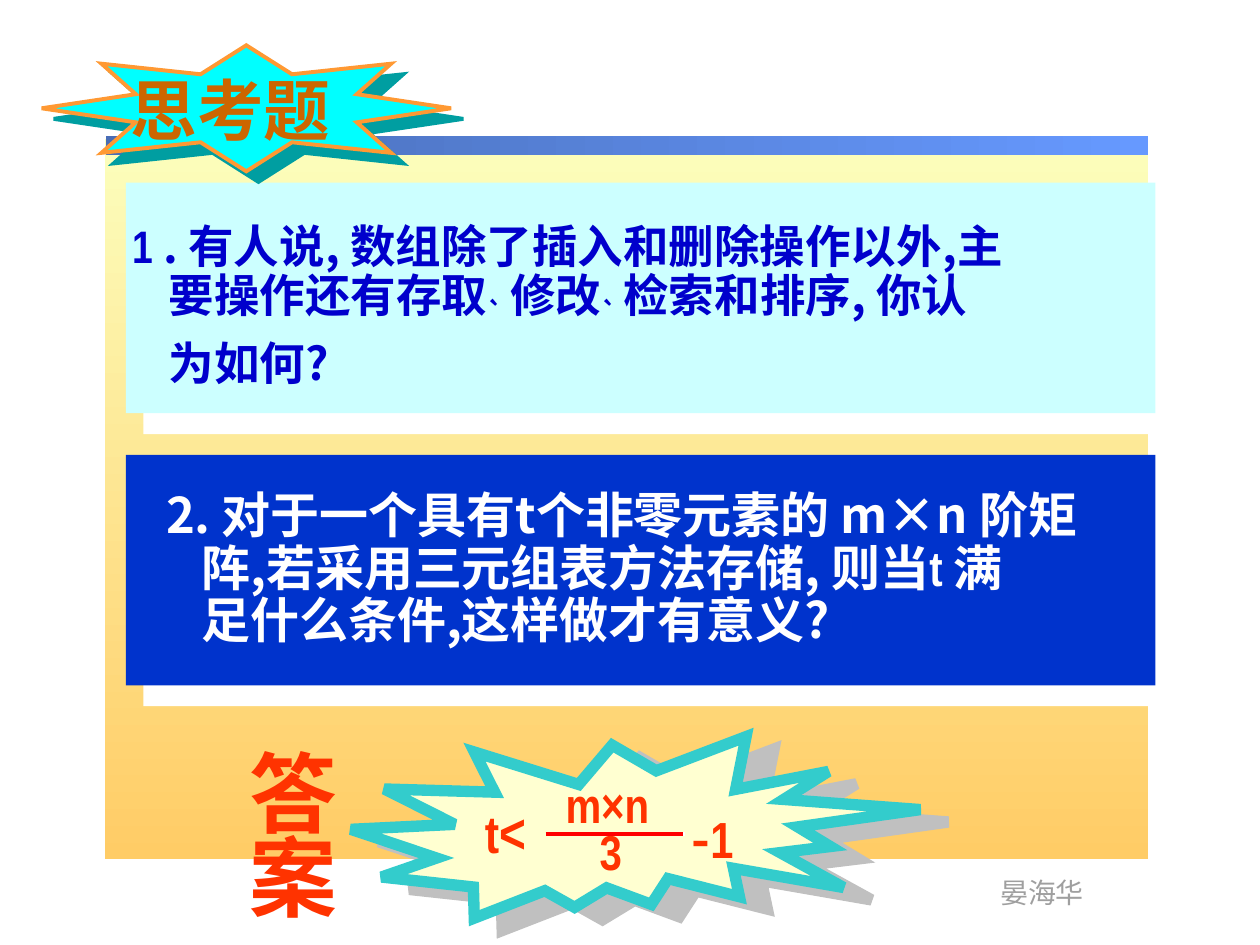
from lxml import etree
from pptx import Presentation
from pptx.dml.color import RGBColor
from pptx.enum.shapes import MSO_CONNECTOR, MSO_SHAPE
from pptx.oxml.ns import qn
from pptx.util import Inches, Pt

RECTANGLE = MSO_SHAPE.RECTANGLE
STAR = MSO_SHAPE.STAR_8_POINT
BURST = MSO_SHAPE.EXPLOSION2
STRAIGHT = MSO_CONNECTOR.STRAIGHT

CJK = "Noto Sans CJK SC"
NARROW = "Arial Narrow"
COLORS = {
    "white": "FFFFFF", "black": "000000", "gray": "9F9F9F", "silver": "C0C0C0",
    "lemon": "FCFEBC", "amber": "FFCC66", "steel": "496DB6", "sky": "6699FF",
    "ice": "CCFFFF", "royal": "0033CC", "navy": "0000CC", "cyan": "00FFFF",
    "orange": "FF9933", "teal": "009EA1", "brown": "CC6600", "cream": "FFFFD1",
    "turquoise": "33CCCC", "vermilion": "FF3300", "red": "FF0000",
}


def rgb(name):
    return RGBColor.from_string(COLORS[name])


def set_shadow(properties, color, distance, angle):
    """Fill the effect list of a shape with one hard outer shadow."""
    effects = properties.find(qn("a:effectLst"))
    if effects is None:
        effects = etree.SubElement(properties, qn("a:effectLst"))
    shadow = etree.SubElement(effects, qn("a:outerShdw"), dist=str(Pt(distance)),
                              dir=str(angle * 60000), algn="ctr", rotWithShape="0")
    etree.SubElement(shadow, qn("a:srgbClr"), val=COLORS[color])


def add_panel(slide, kind, box, fill, line=None, shadow=None):
    shape = slide.shapes.add_shape(kind, *map(Inches, box))
    shape.shadow.inherit = False
    if isinstance(fill, tuple):
        *stops, angle = fill
        shape.fill.gradient()
        shape.fill.gradient_angle = angle
        for stop, color in zip(shape.fill.gradient_stops, stops):
            stop.color.rgb = rgb(color)
    else:
        shape.fill.solid()
        shape.fill.fore_color.rgb = rgb(fill)
    if line:
        color, width = line
        shape.line.color.rgb = rgb(color)
        shape.line.width = Pt(width)
        etree.SubElement(shape.line._get_or_add_ln(), qn("a:miter"), lim="800000")
    else:
        shape.line.fill.background()
    if shadow:
        set_shadow(shape._element.spPr, *shadow)
    return shape


def add_run(paragraph, text, size, color, font=CJK, bold=True, baseline=0, shadow=False):
    run = paragraph.add_run()
    run.text = text
    for name, value in {"size": Pt(size), "bold": bold, "name": font}.items():
        setattr(run.font, name, value)
    run.font.color.rgb = rgb(color)
    properties = run._r.get_or_add_rPr()
    properties.find(qn("a:latin")).addnext(
        etree.Element(qn("a:ea"), typeface=CJK))
    if baseline:
        properties.set("baseline", str(baseline * 1000))
    if shadow:
        effects = etree.Element(qn("a:effectLst"))
        properties.find(qn("a:solidFill")).addnext(effects)
        set_shadow(properties, "black", 2, 45)


def add_text(slide, box, lines, wrap=True, **style):
    """Each line is (left margin, line spacing, [(text, style changes), ...])."""
    frame = slide.shapes.add_textbox(*map(Inches, box)).text_frame
    frame.word_wrap = wrap
    for number, (margin, spacing, runs) in enumerate(lines):
        paragraph = frame.add_paragraph() if number else frame.paragraphs[0]
        paragraph.line_spacing = spacing
        paragraph._p.get_or_add_pPr().set("marL", str(Inches(margin)))
        for text, changes in runs:
            add_run(paragraph, text, **{**style, **changes})


def add_background(slide, left, top, width, height):
    add_panel(slide, RECTANGLE, (left, top, width, height), ("lemon", "amber", 270))
    add_panel(slide, RECTANGLE, (left + 0.01, top - 0.02, width - 0.01, 0.15),
              ("steel", "sky", 0))
    add_text(slide, (left + 7.01, top + 5.8, 0.87, 0.37), [(0, 1.0, [("晏海华", {})])],
             wrap=False, size=16, color="gray", font=NARROW, bold=False)


def add_question(slide, box, fill, text_box, lines, **style):
    left, top, width, height = box
    add_panel(slide, RECTANGLE, box, fill, shadow=("white", 15.6, 50))
    dx, dy, text_width, text_height = text_box
    add_text(slide, (left + dx, top + dy, text_width, text_height), lines, **style)


def add_title(slide, left, top, width, height):
    star = add_panel(slide, STAR, (left, top, width, height), "cyan",
                     ("orange", 2.25), ("teal", 9.2, 41))
    star.adjustments[0] = 0.292
    add_text(slide, (left + 0.61, top + 0.09, 2.02, 0.74),
             [(0, Pt(49), [("思考题", {})])], size=38, color="brown")


def add_answer(slide, left, top, width, height):
    burst = add_panel(slide, BURST, (left, top, width, height), "cream",
                      ("turquoise", 6.5), ("silver", 17.5, 24))
    burst.rotation = 3.8
    style = {"color": "vermilion", "font": NARROW}

    # Formula: t < (m×n) / 3 - 1
    add_text(slide, (left + 0.96, top + 0.49, 1, 0.64),
             [(0, 1.0, [("t", {}), ("<", {"size": 32})])], size=30, **style)
    add_text(slide, (left + 1.6, top + 0.4, 1.35, 0.85),
             [(0, 0.8, [("m×n", {})]), (0.27, 0.8, [("3", {})])], size=28, **style)
    bar_y = Inches(top + 0.83)
    bar = slide.shapes.add_connector(STRAIGHT, Inches(left + 1.54), bar_y,
                                     Inches(left + 2.63), bar_y)
    bar.line.color.rgb = rgb("red")
    bar.line.width = Pt(2)
    set_shadow(bar._element.spPr, "white", 1, 0)
    add_text(slide, (left + 2.6, top + 0.53, 1.02, 0.59),
             [(0, Pt(38), [("-", {"font": CJK}), ("1", {})])], size=29, **style)

    # Heading beside the burst
    add_text(slide, (left - 0.91, top + 0.11, 0.83, 1.45),
             [(0, Pt(54), [("答", {})]), (0, Pt(48), [("案", {})])],
             size=50, shadow=True, **style)


def main():
    presentation = Presentation()
    presentation.slide_width = Inches(10)
    presentation.slide_height = Inches(7.5)
    slide = presentation.slides.add_slide(presentation.slide_layouts[6])

    add_background(slide, 0.83, 1.1, 8.28, 5.72)

    tick = ("` ", {"baseline": -25})
    add_question(slide, (1, 1.45, 8.17, 1.83), "ice", (-0.33, 0.11, 8.42, 1.51), [
        (0.28, Pt(40), [("1 ", {"font": NARROW}),
                        (". 有人说, 数组除了插入和删除操作以外,主", {})]),
        (0.57, Pt(32), [("要操作还有存取", {}), tick, ("修改", {}), tick,
                        ("检索和排序, 你认", {})]),
        (0.57, Pt(35), [("为如何?", {})]),
    ], size=26, color="navy")
    add_question(slide, (1, 3.61, 8.17, 1.83), "royal", (0.22, 0.21, 8.19, 1.37), [
        (0, Pt(32), [("2. 对于一个具有t个非零元素的 m×n 阶矩", {})]),
        (0.28, Pt(30), [("阵,若采用三元组表方法存储, 则当", {}),
                        ("t ", {"font": NARROW}), ("满", {})]),
        (0.28, Pt(30), [("足什么条件,这样做才有意义?", {})]),
    ], size=28, color="white")

    add_title(slide, 0.33, 0.36, 3.25, 1)
    add_answer(slide, 2.79, 5.79, 4.5, 1.58)
    presentation.save("out.pptx")


if __name__ == "__main__":
    main()
